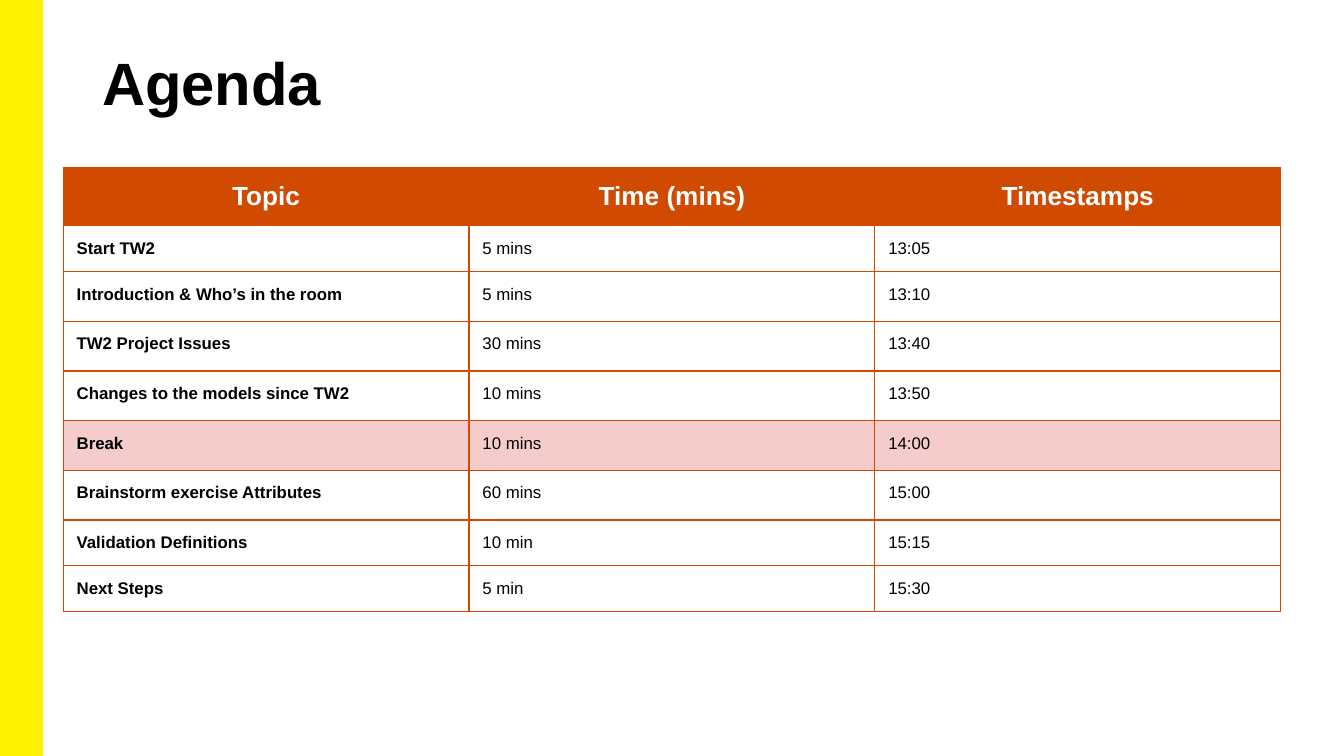
from dataclasses import dataclass

from lxml.etree import SubElement
from pptx import Presentation
from pptx.dml.color import RGBColor
from pptx.enum.shapes import MSO_SHAPE
from pptx.enum.text import MSO_ANCHOR, PP_ALIGN
from pptx.oxml.ns import qn
from pptx.slide import Slide
from pptx.table import _Cell
from pptx.text.text import TextFrame
from pptx.util import Emu, Pt

EMU_PER_PX = 4572  # 200 px to the inch


@dataclass(frozen=True)
class Theme:
    font: str = "Arial"
    ink: str = "000000"
    paper: str = "FFFFFF"
    accent: str = "D04A02"
    stripe: str = "FFF200"
    pause: str = "F4CCCC"
    title_size: int = 32
    header_size: int = 14
    body_size: int = 9
    border_width: float = 0.75


@dataclass(frozen=True)
class AgendaItem:
    topic: str
    duration: str
    timestamp: str
    height: int = 74
    is_break: bool = False


THEME = Theme()
HEADERS = ("Topic", "Time (mins)", "Timestamps")
HEADER_HEIGHT = 86
SHORT_ROW = 68
COLUMN_WIDTH = 604
ITEMS = (
    AgendaItem("Start TW2", "5 mins", "13:05", SHORT_ROW),
    AgendaItem("Introduction & Who’s in the room", "5 mins", "13:10"),
    AgendaItem("TW2 Project Issues", "30 mins", "13:40"),
    AgendaItem("Changes to the models since TW2", "10 mins", "13:50"),
    AgendaItem("Break", "10 mins", "14:00", is_break=True),
    AgendaItem("Brainstorm exercise Attributes", "60 mins", "15:00"),
    AgendaItem("Validation Definitions", "10 min", "15:15", SHORT_ROW),
    AgendaItem("Next Steps", "5 min", "15:30", SHORT_ROW),
)


def px(length: int) -> Emu:
    return Emu(length * EMU_PER_PX)


def write_text(frame: TextFrame, text: str, size: int, color: str,
               bold: bool, align: PP_ALIGN = PP_ALIGN.LEFT) -> None:
    frame.text = text
    paragraph = frame.paragraphs[0]
    paragraph.alignment = align
    font = paragraph.runs[0].font
    font.name = THEME.font
    font.size = Pt(size)
    font.bold = bold
    font.color.rgb = RGBColor.from_string(color)


def add_stripe(slide: Slide, height: Emu) -> None:
    stripe = slide.shapes.add_shape(MSO_SHAPE.RECTANGLE, 0, 0, px(62), height)
    stripe.shadow.inherit = False
    color = RGBColor.from_string(THEME.stripe)
    stripe.fill.solid()
    stripe.fill.fore_color.rgb = color
    stripe.line.color.rgb = color
    stripe.line.width = Pt(1)


def add_title(slide: Slide, text: str) -> None:
    title = slide.shapes.title
    title.left, title.top, title.width, title.height = map(px, (138, 60, 1724, 162))
    frame = title.text_frame
    frame.margin_left = frame.margin_right = px(14)
    frame.margin_top = frame.margin_bottom = px(8)
    frame.vertical_anchor = MSO_ANCHOR.TOP
    write_text(frame, text, THEME.title_size, THEME.ink, True)


def style_cell(cell: _Cell, fill: str | None) -> None:
    cell.margin_left = cell.margin_right = px(20)
    cell.margin_top = cell.margin_bottom = px(20)
    # Borders come before the fill in the cell properties
    properties = cell._tc.get_or_add_tcPr()
    for side in ("a:lnL", "a:lnR", "a:lnT", "a:lnB"):
        line = SubElement(properties, qn(side), w=str(Pt(THEME.border_width)))
        solid = SubElement(line, qn("a:solidFill"))
        SubElement(solid, qn("a:srgbClr"), val=THEME.accent)
    if fill is None:
        cell.fill.background()
    else:
        cell.fill.solid()
        cell.fill.fore_color.rgb = RGBColor.from_string(fill)


def add_agenda(slide: Slide) -> None:
    heights = [HEADER_HEIGHT, *(item.height for item in ITEMS)]
    table = slide.shapes.add_table(
        len(heights), len(HEADERS), px(94), px(250),
        px(COLUMN_WIDTH * len(HEADERS)), px(sum(heights))).table
    for column in table.columns:
        column.width = px(COLUMN_WIDTH)
    for row, height in zip(table.rows, heights):
        row.height = px(height)

    # Header row
    for index, header in enumerate(HEADERS):
        cell = table.cell(0, index)
        style_cell(cell, THEME.accent)
        write_text(cell.text_frame, header, THEME.header_size, THEME.paper,
                   True, PP_ALIGN.CENTER)

    # Agenda rows, with the topic in bold
    for row_index, item in enumerate(ITEMS, start=1):
        values = (item.topic, item.duration, item.timestamp)
        for index, value in enumerate(values):
            cell = table.cell(row_index, index)
            style_cell(cell, THEME.pause if item.is_break else None)
            write_text(cell.text_frame, value, THEME.body_size, THEME.ink, index == 0)


def main() -> None:
    presentation = Presentation()
    presentation.slide_width = px(2000)
    presentation.slide_height = px(1125)
    slide = presentation.slides.add_slide(presentation.slide_layouts[5])
    add_stripe(slide, presentation.slide_height)
    add_title(slide, "Agenda")
    add_agenda(slide)
    presentation.save("out.pptx")


if __name__ == "__main__":
    main()
